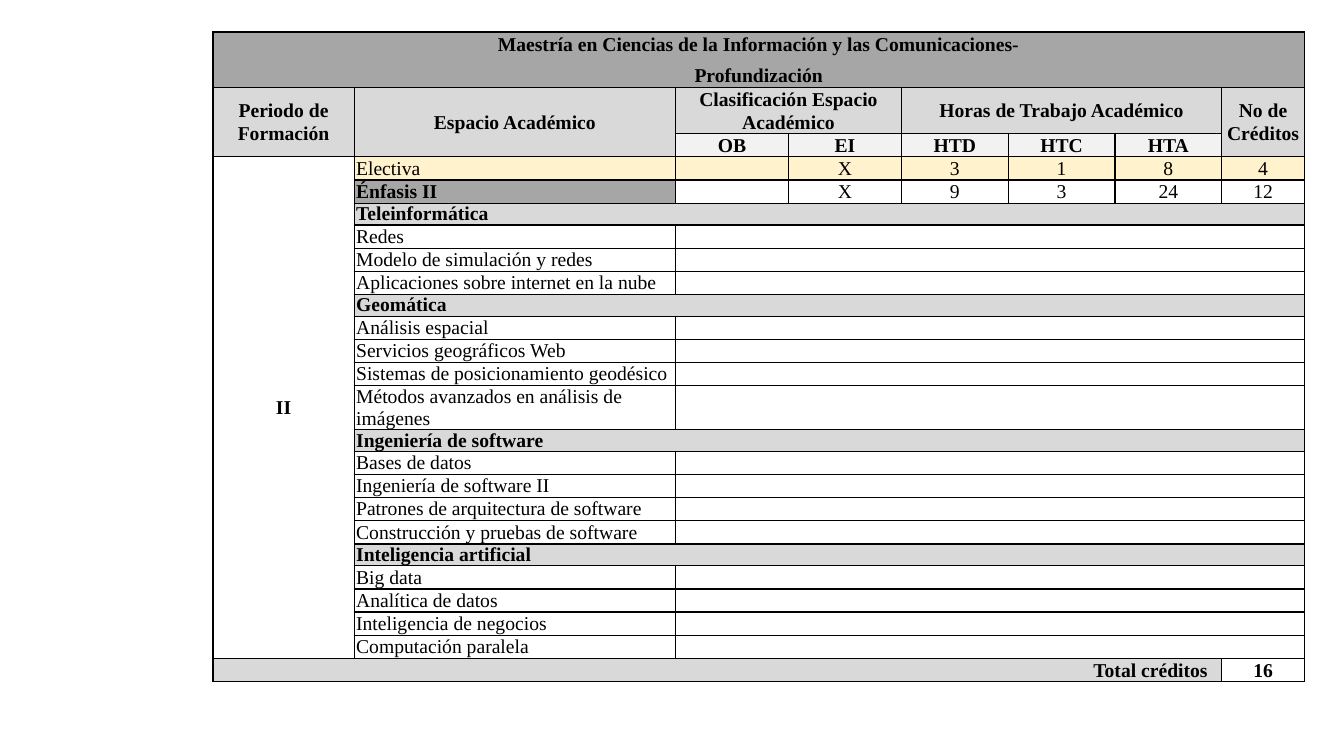
from lxml.etree import SubElement
from pptx import Presentation
from pptx.dml.color import RGBColor
from pptx.enum.text import MSO_ANCHOR as Anchor, PP_ALIGN as Align
from pptx.oxml.ns import qn
from pptx.util import Pt

BLACK = RGBColor(0x00, 0x00, 0x00)
DARK_GRAY = RGBColor(0xA6, 0xA6, 0xA6)
GRAY = RGBColor(0xD9, 0xD9, 0xD9)
LIGHT_GRAY = RGBColor(0xF2, 0xF2, 0xF2)
CREAM = RGBColor(0xFF, 0xF2, 0xCC)

FONT = "Times New Roman"
LINE_HEIGHT, GROUP_HEIGHT, WRAPPED_HEIGHT = 16.55, 15.6, 31.4
COLUMN_WIDTHS = [100.8, 229.7, 80.6, 80.6, 76.3, 76.3, 76.3, 59.1]
LAST_COLUMN = len(COLUMN_WIDTHS) - 1
FIRST_GROUP_ROW = 5

EMPHASES = {
    "Teleinformática": [
        "Redes",
        "Modelo de simulación y redes",
        "Aplicaciones sobre internet en la nube",
    ],
    "Geomática": [
        "Análisis espacial",
        "Servicios geográficos Web",
        "Sistemas de posicionamiento geodésico",
        "Métodos avanzados en análisis de imágenes",
    ],
    "Ingeniería de software": [
        "Bases de datos",
        "Ingeniería de software II",
        "Patrones de arquitectura de software",
        "Construcción y pruebas de software",
    ],
    "Inteligencia artificial": [
        "Big data",
        "Analítica de datos",
        "Inteligencia de negocios",
        "Computación paralela",
    ],
}


def prepare_cell(cell):
    """Clear the style fill, tighten the margins and draw thin black borders."""
    cell.margin_left = cell.margin_right = Pt(1.4)
    cell.margin_top = cell.margin_bottom = 0
    cell.vertical_anchor = Anchor.MIDDLE
    properties = cell._tc.get_or_add_tcPr()
    for side in ("a:lnL", "a:lnR", "a:lnT", "a:lnB"):
        line = SubElement(properties, qn(side), w=str(Pt(1)))
        fill = SubElement(line, qn("a:solidFill"))
        SubElement(fill, qn("a:srgbClr"), val=str(BLACK))
    cell.fill.background()
    paragraph = cell.text_frame.paragraphs[0]
    SubElement(paragraph._p, qn("a:endParaRPr"), sz="1200")


def write_cell(row, column, text, fill=None, bold=False, align=Align.CENTER, last=None):
    """Fill one cell, merged as far as the (row, column) pair in last."""
    cell = table.cell(row, column)
    if last:
        cell.merge(table.cell(*last))
    if fill is not None:
        cell.fill.solid()
        cell.fill.fore_color.rgb = fill
    if not text:
        return
    cell.text_frame.text = text
    for paragraph in cell.text_frame.paragraphs:
        paragraph.alignment = align
        if align != Align.LEFT:
            paragraph.line_spacing = 1.07
            paragraph.space_after = Pt(6.2)
        for run in paragraph.runs:
            run.font.name = FONT
            run.font.size = Pt(14)
            run.font.bold = bold
            run.font.color.rgb = BLACK


row_heights = [39.3, 33, LINE_HEIGHT, LINE_HEIGHT, LINE_HEIGHT]
for courses in EMPHASES.values():
    row_heights.append(GROUP_HEIGHT)
    row_heights += [WRAPPED_HEIGHT if len(course) > 40 else LINE_HEIGHT for course in courses]
row_heights.append(LINE_HEIGHT)
total_row = len(row_heights) - 1

presentation = Presentation()
presentation.slide_width = Pt(960)
presentation.slide_height = Pt(540)
slide = presentation.slides.add_slide(presentation.slide_layouts[6])

table = slide.shapes.add_table(
    len(row_heights), len(COLUMN_WIDTHS),
    Pt(152.2), Pt(22.9), Pt(sum(COLUMN_WIDTHS)), Pt(sum(row_heights)),
).table
table.first_row = False
table.horz_banding = False
for column, width in zip(table.columns, COLUMN_WIDTHS):
    column.width = Pt(width)
for row, height in zip(table.rows, row_heights):
    row.height = Pt(height)
for cell in table.iter_cells():
    prepare_cell(cell)

# Headings
title = "Maestría en Ciencias de la Información y las Comunicaciones-\nProfundización"
write_cell(0, 0, title, DARK_GRAY, True, last=(0, LAST_COLUMN))
for column, text, last in [
    (0, "Periodo de Formación", (2, 0)),
    (1, "Espacio Académico", (2, 1)),
    (2, "Clasificación Espacio Académico", (1, 3)),
    (4, "Horas de Trabajo Académico", (1, 6)),
    (7, "No de Créditos", (2, 7)),
]:
    write_cell(1, column, text, GRAY, True, last=last)
for column, text in enumerate(["OB", "EI", "HTD", "HTC", "HTA"], start=2):
    write_cell(2, column, text, LIGHT_GRAY, True)

# Elective and emphasis totals
write_cell(3, 0, "II", bold=True, last=(total_row - 1, 0))
write_cell(3, 1, "Electiva", CREAM, align=Align.LEFT)
write_cell(4, 1, "Énfasis II", DARK_GRAY, True, Align.LEFT)
for row, fill, values in [
    (3, CREAM, ["", "X", "3", "1", "8", "4"]),
    (4, None, ["", "X", "9", "3", "24", "12"]),
]:
    for column, value in enumerate(values, start=2):
        write_cell(row, column, value, fill)

# Emphasis groups and their courses
row = FIRST_GROUP_ROW
for emphasis, courses in EMPHASES.items():
    write_cell(row, 1, emphasis, GRAY, True, Align.LEFT, last=(row, LAST_COLUMN))
    for row, course in enumerate(courses, start=row + 1):
        write_cell(row, 1, course, align=Align.LEFT)
        write_cell(row, 2, "", last=(row, LAST_COLUMN))
    row += 1

# Total
write_cell(total_row, 0, "Total créditos", GRAY, True, Align.RIGHT,
           last=(total_row, LAST_COLUMN - 1))
table.cell(total_row, 0).margin_right = Pt(10)
write_cell(total_row, LAST_COLUMN, "16", bold=True)

presentation.save("out.pptx")
